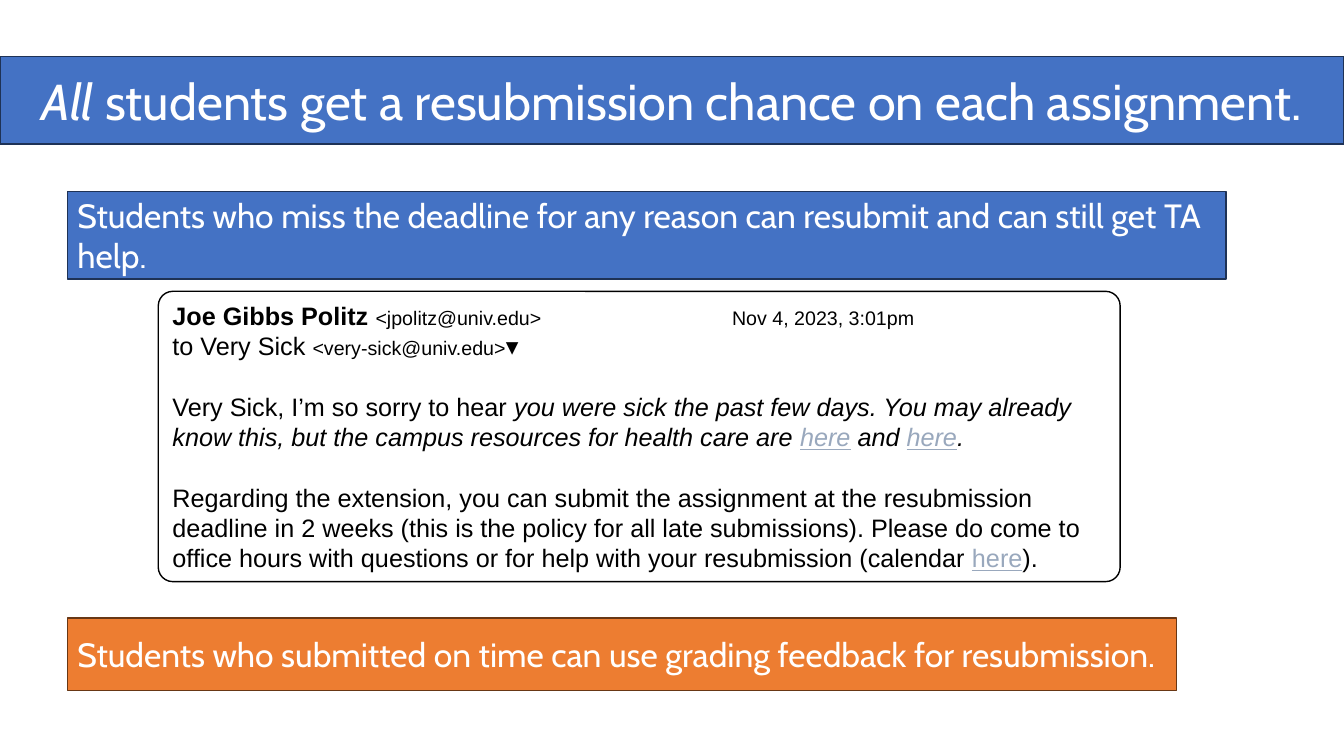
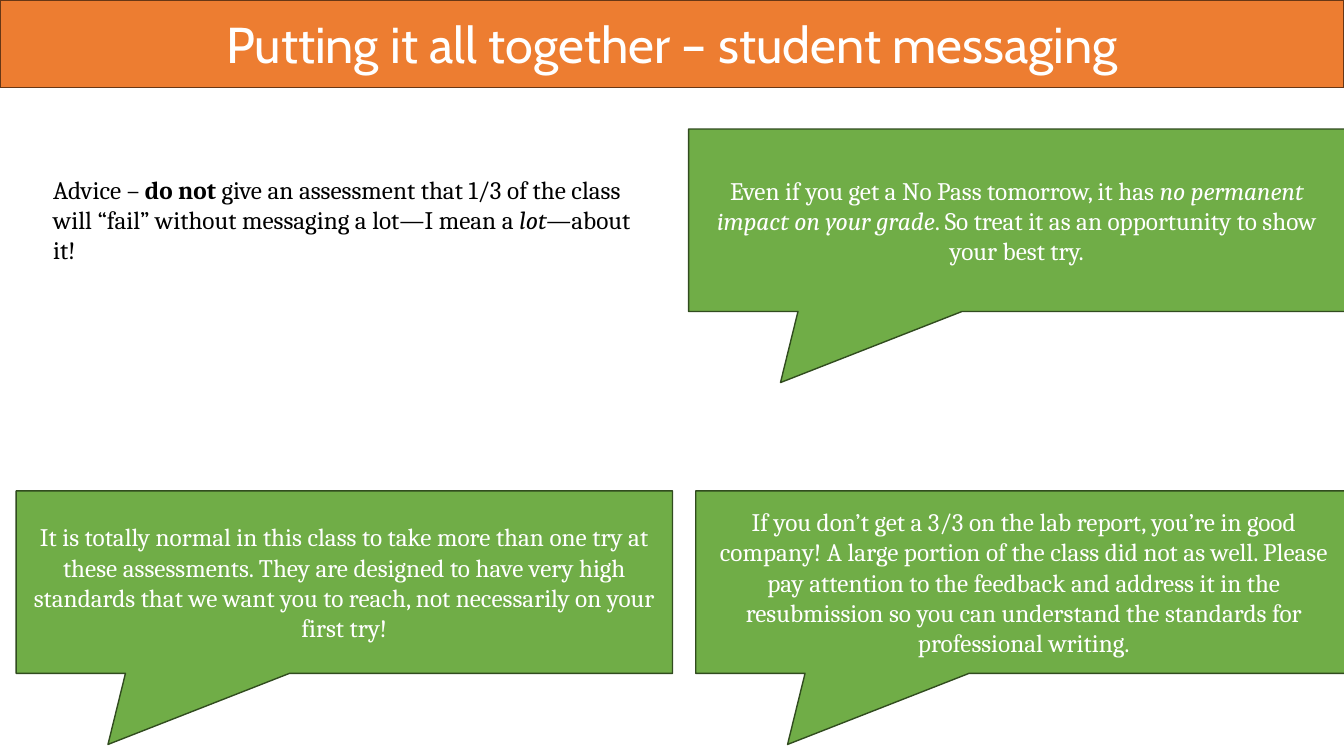
from dataclasses import dataclass

from lxml import etree
from pptx import Presentation
from pptx import util as u
from pptx.dml.color import RGBColor
from pptx.enum import shapes, text
from pptx.oxml import ns

SHAPE = shapes.MSO_SHAPE
ALIGN = text.PP_ALIGN
ANCHOR = text.MSO_ANCHOR


@dataclass(frozen=True)
class Theme:
    blue: tuple = ("4472C4", "1E3256")
    orange: tuple = ("ED7D31", "683715")
    green: tuple = ("70AD47", "314C1F")
    paper: tuple = ("FFFFFF", "000000")
    white: str = "FFFFFF"
    black: str = "000000"
    link: str = "99A8BD"
    heading: str = "Cabin"
    mail: str = "Arial"
    body: str = "Cambria"
    title_size: int = 36
    banner_size: int = 24
    body_size: int = 18
    small_size: int = 14
    mail_leading: float = 21.6


ITALIC = {"italic": True}
BOLD = {"bold": True}
SMALL = {"size": u.Pt(Theme.small_size)}
LINK = {"italic": True, "underline": True, "color": Theme.link}
PLAIN_LINK = {"underline": True, "color": Theme.link}


class Deck:
    def __init__(self, theme):
        self.theme = theme
        self.prs = Presentation()
        self.prs.slide_width = u.Inches(13.33)
        self.prs.slide_height = u.Inches(7.5)
        self.s = None

    def new_slide(self):
        self.s = self.prs.slides.add_slide(self.prs.slide_layouts[6])

    def box(self, kind, at, colors, anchor=ANCHOR.MIDDLE):
        sp = self.s.shapes.add_shape(kind, *map(u.Inches, at))
        sp.shadow.inherit = False
        sp.fill.solid()
        sp.fill.fore_color.rgb = RGBColor.from_string(colors[0])
        sp.line.color.rgb = RGBColor.from_string(colors[1])
        sp.line.width = u.Pt(1)
        sp.text_frame.word_wrap = True
        sp.text_frame.vertical_anchor = anchor
        return sp

    def fill_text(self, p, runs, font, size, color, align=ALIGN.LEFT):
        p.alignment = align
        p.font.name = font
        p.font.size = u.Pt(size)
        p.font.color.rgb = RGBColor.from_string(color)
        for part in runs:
            words, style = part if isinstance(part, tuple) else (part, {})
            r = p.add_run()
            r.text = words
            self.style_run(r, **style)

    def style_run(self, r, bold=None, italic=None, underline=None,
                  size=None, color=None):
        r.font.bold = bold
        r.font.italic = italic
        r.font.underline = underline
        r.font.size = size
        if color:
            r.font.color.rgb = RGBColor.from_string(color)

    def title(self, top, colors, *runs):
        t = self.theme
        sp = self.box(SHAPE.RECTANGLE, (0, top, 13.33, 0.87), colors)
        self.fill_text(sp.text_frame.paragraphs[0], runs, t.heading,
                       t.title_size, t.white, ALIGN.CENTER)

    def banner(self, at, colors, *runs):
        t = self.theme
        sp = self.box(SHAPE.RECTANGLE, at, colors)
        self.fill_text(sp.text_frame.paragraphs[0], runs, t.heading,
                       t.banner_size, t.white)

    def callout(self, left, top, *runs):
        t = self.theme
        sp = self.box(SHAPE.RECTANGULAR_CALLOUT, (left, top, 6.51, 1.81),
                      t.green)
        sp.adjustments[0] = -0.36
        sp.adjustments[1] = 0.89
        self.fill_text(sp.text_frame.paragraphs[0], runs, t.body,
                       t.body_size, t.white, ALIGN.CENTER)

    def note(self, at, *runs):
        t = self.theme
        sp = self.s.shapes.add_textbox(*map(u.Inches, at))
        sp.text_frame.word_wrap = True
        self.fill_text(sp.text_frame.paragraphs[0], runs, t.body,
                       t.body_size, t.black)

    def email(self, at, date_tab, header, *blocks):
        t = self.theme
        sp = self.box(SHAPE.ROUNDED_RECTANGLE, at, t.paper, ANCHOR.TOP)
        sp.adjustments[0] = 0.05
        tf = sp.text_frame
        lines = [*header, *blocks]
        for i, runs in enumerate(lines):
            p = tf.add_paragraph() if i else tf.paragraphs[0]
            p.line_spacing = u.Pt(t.mail_leading)
            if len(header) - 1 <= i < len(lines) - 1:
                p.space_after = u.Pt(t.mail_leading)
            if i == 0:
                self.tab_stop(p, date_tab)
            self.fill_text(p, runs, t.mail, t.body_size, t.black)

    def tab_stop(self, p, position):
        tabs = etree.SubElement(p._p.get_or_add_pPr(), ns.qn("a:tabLst"))
        etree.SubElement(tabs, ns.qn("a:tab"),
                         pos=str(u.Inches(position)), algn="l")


def resubmission_slide(deck):
    t = deck.theme
    deck.new_slide()
    deck.title(0.56, t.blue, ("All", ITALIC),
               " students get a resubmission chance on each assignment.")
    deck.banner((0.67, 6.13, 11, 0.72), t.orange,
                "Students who submitted on time can use grading feedback "
                "for resubmission.")
    deck.banner((0.67, 1.9, 11.49, 0.87), t.blue,
                "Students who miss the deadline for any reason can resubmit "
                "and can still get TA help.")
    header = [
        [("Joe Gibbs Politz ", BOLD),
         ("<jpolitz@univ.edu>\tNov 4, 2023, 3:01pm", SMALL)],
        ["to Very Sick ", ("<very-sick@univ.edu>", SMALL), "▾"],
    ]
    deck.email(
        (1.57, 2.89, 9.54, 2.88), 5.55, header,
        ["Very Sick, I’m so sorry to hear ",
         ("you were sick the past few days. You may already know this, but "
          "the campus resources for health care are ", ITALIC),
         ("here", LINK), (" and ", ITALIC), ("here", LINK), (".", ITALIC)],
        ["Regarding the extension, you can submit the assignment at the "
         "resubmission deadline in 2 weeks (this is the policy for all late "
         "submissions). Please do come to office hours with questions or for "
         "help with your resubmission (calendar ",
         ("here", PLAIN_LINK), ")."])


def messaging_slide(deck):
    deck.new_slide()
    deck.title(0, deck.theme.orange,
               "Putting it all together – student messaging")
    deck.callout(6.83, 1.28,
                 "Even if you get a No Pass tomorrow, it has ",
                 ("no permanent impact on your grade", ITALIC),
                 ". So treat it as an opportunity to show your best try.")
    deck.callout(6.9, 4.87,
                 "If you don’t get a 3/3 on the lab report, you’re in good "
                 "company! A large portion of the class did not as well. "
                 "Please pay attention to the feedback and address it in the "
                 "resubmission so you can understand the standards for "
                 "professional writing.")
    deck.callout(0.16, 4.87,
                 "It is totally normal in this class to take more than one "
                 "try at these assessments. They are designed to have very "
                 "high standards that we want you to reach, not necessarily "
                 "on your first try!")
    deck.note((0.43, 1.68, 5.97, 1.01),
              "Advice – ", ("do not", BOLD),
              " give an assessment that 1/3 of the class will “fail” without "
              "messaging a lot—I mean a ", ("lot—", ITALIC), "about it!")


def main():
    deck = Deck(Theme())
    resubmission_slide(deck)
    messaging_slide(deck)
    deck.prs.save("out.pptx")


if __name__ == "__main__":
    main()
